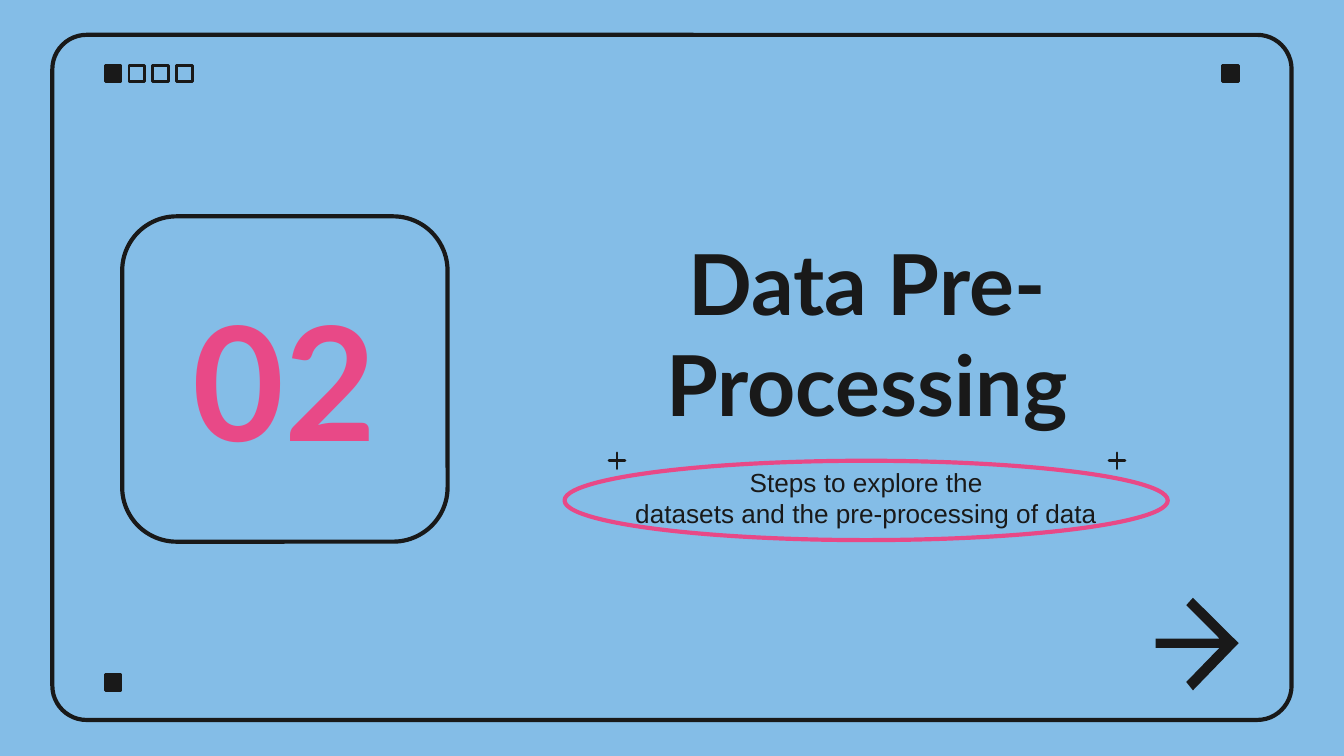
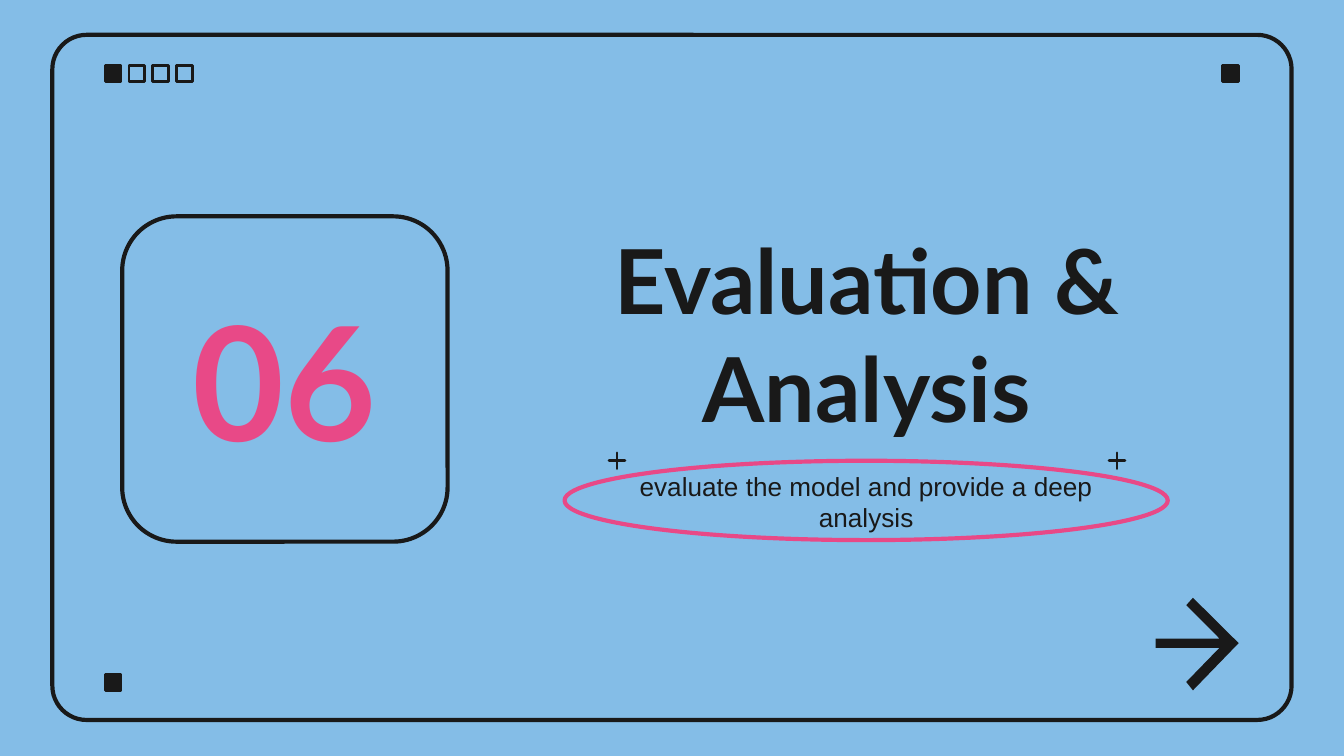
from pptx import Presentation
from pptx.dml.color import RGBColor
from pptx.enum import shapes as sh, text as tx
from pptx.util import Cm, Pt

SKY = RGBColor(0x84, 0xBD, 0xE7)
INK = RGBColor(0x19, 0x19, 0x19)
PINK = RGBColor(0xE8, 0x49, 0x87)
KIND = sh.MSO_SHAPE
HEAD, BODY = "Lato", "Arial"
DOT, STEP = 0.3, 0.45
FRAME = (0.99, 0.66, 23.42, 12.95)
BADGE = (2.31, 4.09, 6.15, 6.15)
TITLE = (9.68, 4.88, 13.41, 2.82)
OVAL = (10.67, 8.71, 11.4, 1.5)
ARROW = (21.84, 11.3, 1.57, 1.75)
EDGE = [(0.45, 0), (0.37, 0.08), (0.77, 0.44), (0, 0.44), (0, 0.54),
        (0.77, 0.54), (0.37, 0.91), (0.45, 1), (1, 0.49)]

PARTS = [
    ("02", "Data Pre-Processing", 45,
     ["Steps to explore the", "datasets and the pre-processing of data"], 0.13),
    ("06", "Evaluation & Analysis", 48,
     ["evaluate the model and provide a deep analysis"], 0.2),
]


def draw(slide, kind, box, line=INK, width=2.25, fill=None, adj=None):
    shape = slide.shapes.add_shape(kind, *map(Cm, box))
    shape.shadow.inherit = False
    shape.line.color.rgb = line
    shape.line.width = Pt(width)
    if fill is None:
        shape.fill.background()
    else:
        shape.fill.solid()
        shape.fill.fore_color.rgb = fill
    if adj is not None:
        shape.adjustments[0] = adj


def write(slide, box, lines, size, font=HEAD, color=INK, bold=True, side=0.25):
    frame = slide.shapes.add_textbox(*map(Cm, box)).text_frame
    frame.word_wrap = True
    frame.vertical_anchor = tx.MSO_ANCHOR.MIDDLE
    frame.margin_left = frame.margin_right = Cm(side)
    frame.margin_top = frame.margin_bottom = Cm(0.25)
    for i, line in enumerate(lines):
        para = frame.add_paragraph() if i else frame.paragraphs[0]
        para.alignment = tx.PP_ALIGN.CENTER
        run = para.add_run()
        run.text = line
        run.font.name = font
        run.font.size = Pt(size)
        run.font.bold = bold
        run.font.color.rgb = color


def dot(slide, x, y, fill=INK, kind=KIND.RECTANGLE, adj=None):
    draw(slide, kind, (x, y, DOT, DOT), width=1.5, fill=fill, adj=adj)


def border(slide, box):
    x, y, w, h = box
    draw(slide, KIND.ROUNDED_RECTANGLE, box, adj=0.05)
    left, top = x + 1, y + 0.58
    for i in range(4):
        dot(slide, left + i * STEP, top, None if i else INK)
    dot(slide, left, y + h - 0.86)
    dot(slide, x + w - 1.3, top)


def badge(slide, box, number):
    x, y, w, h = box
    draw(slide, KIND.ROUNDED_RECTANGLE, box, adj=0.167)
    write(slide, (x, y + 0.66, w, h - 1.35), [number], 85, color=PINK, side=0)


def note(slide, box, lines, drop):
    x, y, w, h = box
    draw(slide, KIND.OVAL, box, line=PINK)
    write(slide, (x + 0.81, y + drop, w - 1.62, 1.14), lines, 14, BODY, bold=False)
    for left in (x + 0.84, x + w - 1.11):
        dot(slide, left, y - 0.15, kind=KIND.STAR_4_POINT, adj=0)


def arrow(slide, box):
    x, y, w, h = box
    path = [(Cm(x + w * u), Cm(y + h * v)) for u, v in EDGE]
    pen = slide.shapes.build_freeform(*path[0])
    pen.add_line_segments(path[1:], close=True)
    shape = pen.convert_to_shape()
    shape.shadow.inherit = False
    shape.fill.solid()
    shape.fill.fore_color.rgb = INK
    shape.line.fill.background()


def divide(deck, number, title, size, lines, drop):
    slide = deck.slides.add_slide(deck.slide_layouts[6])
    border(slide, FRAME)
    badge(slide, BADGE, number)
    write(slide, TITLE, [title], size)
    note(slide, OVAL, lines, drop)
    arrow(slide, ARROW)


def main():
    deck = Presentation()
    deck.slide_width, deck.slide_height = Cm(25.4), Cm(14.29)
    back = deck.slide_master.background.fill
    back.solid()
    back.fore_color.rgb = SKY
    for part in PARTS:
        divide(deck, *part)
    deck.save("out.pptx")


if __name__ == "__main__":
    main()
